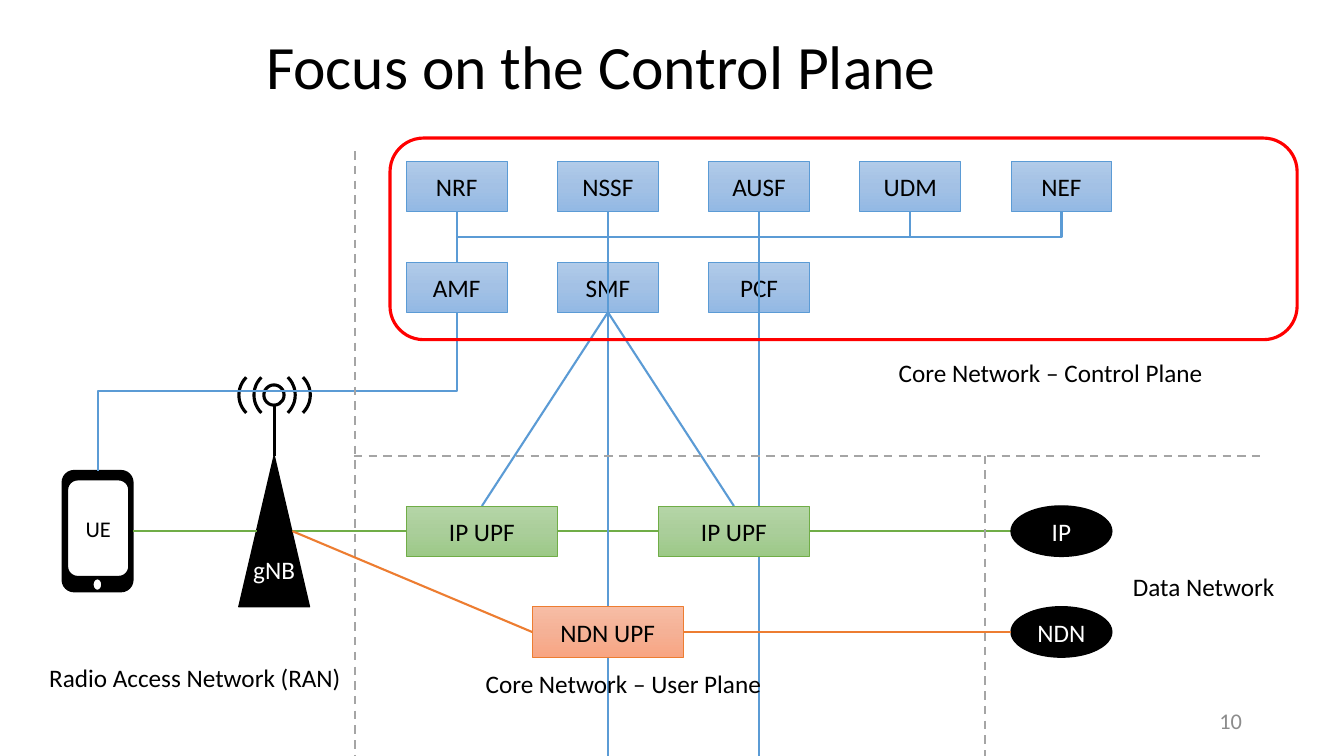
from copy import deepcopy
from dataclasses import dataclass

from pptx import Presentation
from pptx.dml.color import RGBColor
from pptx.enum.dml import MSO_LINE
from pptx.enum.shapes import MSO_CONNECTOR as CONN, MSO_SHAPE as SHAPE
from pptx.enum.text import MSO_ANCHOR as ANCHOR, MSO_AUTO_SIZE as AUTO, PP_ALIGN as ALIGN
from pptx.oxml.ns import qn
from pptx.oxml.xmlchemy import OxmlElement
from pptx.util import Cm, Pt


@dataclass(frozen=True)
class Theme:
    font: str = "Calibri"
    title: int = 44
    body: int = 18
    small: int = 16
    black: str = "000000"
    white: str = "FFFFFF"
    grey: str = "8C8C8C"
    dash: str = "A5A5A5"
    red: str = "FF0000"
    blue: str = "5B9BD5"
    green: str = "70AD47"
    orange: str = "ED7D31"
    blue_fill: tuple = ("B1CBE9", "A3C1E5", "93B9E4")
    green_fill: tuple = ("B5D5A7", "AACE9A", "9CC987")
    orange_fill: tuple = ("F7BDA5", "F5B196", "F8A582")


T = Theme()

# Content (lengths in centimetres)
TITLE = "Focus on the Control Plane"
FUNCTIONS = [["NRF", "NSSF", "AUSF", "UDM", "NEF"], ["AMF", "SMF", "PCF"]]
UPFS = [  # text, left, row, fill, outline
    ("IP UPF", 16.59, "IP", T.green_fill, T.green),
    ("IP UPF", 10.24, "IP", T.green_fill, T.green),
    ("NDN UPF", 13.41, "NDN", T.orange_fill, T.orange),
]
LABELS = [  # text, left, top, width
    ("Radio Access Network (RAN)", 0.99, 16.56, 7.92),
    ("Core Network – User Plane", 11.99, 16.71, 7.52),
    ("Core Network – Control Plane", 22.4, 8.89, 8.26),
    ("Data Network", 28.3, 14.27, 4.11),
]
BORDERS = [  # dashed lines between the network parts
    (8.94, 3.81, 8.94, 19.05),
    (8.92, 11.48, 31.78, 11.48),
    (24.82, 11.48, 24.82, 19.05),
]
PAGE = "10"

# Grid
SLIDE_W, SLIDE_H = 33.87, 19.05
LEFT, PITCH, BOX_W, BOX_H, UPF_W = 10.24, 3.81, 2.54, 1.27, 3.81
ROW_TOPS = [4.06, 6.6]
USER_TOPS = {"IP": 12.75, "NDN": 15.29}
DATA_X = LEFT + 4 * PITCH
COLS = [LEFT + i * PITCH + BOX_W / 2 for i in range(5)]
BOTTOMS = [top + BOX_H for top in ROW_TOPS]
IP_Y, NDN_Y = (top + BOX_H / 2 for top in USER_TOPS.values())

prs = Presentation()
prs.slide_width, prs.slide_height = Cm(SLIDE_W), Cm(SLIDE_H)
s = prs.slides.add_slide(prs.slide_layouts[5])


def apply(obj, **fmt):
    for name, value in fmt.items():
        setattr(obj, name, value)


def write(tf, text, size=T.body, color=T.black, align=ALIGN.CENTER, **frame):
    apply(tf, **{"vertical_anchor": ANCHOR.MIDDLE, "word_wrap": True, **frame})
    p = tf.paragraphs[0]
    p.alignment = align
    r = p.add_run()
    r.text = text
    apply(r.font, name=T.font, size=Pt(size))
    r.font.color.rgb = RGBColor.from_string(color)


def shape(kind, x, y, w, h, fill=None, line=T.black, width=1.0, rot=0):
    sp = s.shapes.add_shape(kind, Cm(x), Cm(y), Cm(w), Cm(h))
    sp.shadow.inherit = False
    sp.rotation = rot
    sp.line.color.rgb = RGBColor.from_string(line)
    sp.line.width = Pt(width)
    if fill is None:
        sp.fill.background()
    elif isinstance(fill, tuple):
        sp.fill.gradient()
        sp.fill.gradient_angle = 270
        stops = sp._element.spPr.find(".//" + qn("a:gsLst"))
        stops.insert(1, deepcopy(stops[0]))
        for stop, pos, color in zip(sp.fill.gradient_stops, (0, 0.5, 1), fill):
            stop.position = pos
            stop.color.rgb = RGBColor.from_string(color)
    else:
        sp.fill.solid()
        sp.fill.fore_color.rgb = RGBColor.from_string(fill)
    return sp


def line(x1, y1, x2, y2, color=T.blue, width=1.5, kind=CONN.STRAIGHT, dash=None):
    c = s.shapes.add_connector(kind, Cm(x1), Cm(y1), Cm(x2), Cm(y2))
    c.line.color.rgb = RGBColor.from_string(color)
    apply(c.line, width=Pt(width), dash_style=dash)
    c._element.spPr.append(OxmlElement("a:effectLst"))
    return c


def elbow(x1, y1, x2, y2):
    """Leave (x1, y1) downwards, cross halfway, arrive at (x2, y2)."""
    cx, cy = (x1 + x2) / 2, (y1 + y2) / 2
    dx, dy = (x2 - x1) / 2, (y2 - y1) / 2
    c = line(cx - dy, cy + dx, cx + dy, cy - dx, kind=CONN.ELBOW)
    c._element.spPr.find(qn("a:xfrm")).set("rot", "5400000")


def text_box(text, x, y, w, **fmt):
    sp = s.shapes.add_textbox(Cm(x), Cm(y), Cm(w), Cm(1.02))
    write(sp.text_frame, text, **fmt)


# Title
title = s.shapes.title
apply(title, left=Cm(6.45), top=Cm(0.38), width=Cm(25.1), height=Cm(2.72))
write(title.text_frame, TITLE, T.title, align=ALIGN.LEFT, auto_size=AUTO.NONE)
title.text_frame.paragraphs[0].line_spacing = 0.9

# IP path, behind the user plane boxes
line(7.37, IP_Y, DATA_X, IP_Y, T.green)

# Control plane functions and their links
for top, names in zip(ROW_TOPS, FUNCTIONS):
    for col, name in zip(COLS, names):
        sp = shape(SHAPE.RECTANGLE, col - BOX_W / 2, top, BOX_W, BOX_H, T.blue_fill, T.blue, 0.5)
        write(sp.text_frame, name)
for start, end in [(0, 1), (3, 0), (4, 2)]:
    elbow(COLS[start], BOTTOMS[0], COLS[end], ROW_TOPS[1])
for col in COLS[1:3]:
    line(col, BOTTOMS[0], col, SLIDE_H)
for _, x, row, _, _ in UPFS[:2]:
    line(COLS[1], BOTTOMS[1], x + UPF_W / 2, USER_TOPS[row])

# User plane functions
for name, x, row, fill, color in UPFS:
    sp = shape(SHAPE.RECTANGLE, x, USER_TOPS[row], UPF_W, BOX_H, fill, color, 0.5)
    write(sp.text_frame, name)

# gNB tower
sp = shape(SHAPE.ISOSCELES_TRIANGLE, 6.02, 11.48, 1.78, 3.81, T.black)
write(sp.text_frame, "gNB", color=T.white, word_wrap=False)
line(6.91, 10.21, 6.91, 11.48, T.black, 2.25)
shape(SHAPE.OVAL, 6.65, 9.7, 0.51, 0.51, T.white, width=2.25)
for x, rot in [(6.02, 225), (6.4, 225), (6.17, 45), (6.55, 45)]:
    shape(SHAPE.ARC, x, 9.32, 1.27, 1.27, width=2.25, rot=rot)

# UE phone
shape(SHAPE.ROUNDED_RECTANGLE, 1.57, 11.86, 1.78, 3.05, T.black)
sp = shape(SHAPE.ROUNDED_RECTANGLE, 1.7, 12.09, 1.55, 2.44, T.white)
write(sp.text_frame, "UE", T.small, word_wrap=False)
shape(SHAPE.OVAL, 2.34, 14.58, 0.23, 0.3, T.white)
elbow(COLS[0], BOTTOMS[1], 2.46, 11.86)
line(3.35, IP_Y, 6.48, IP_Y, T.green)

# Data networks
for name, top in USER_TOPS.items():
    sp = shape(SHAPE.OVAL, DATA_X, top, BOX_W, BOX_H, T.black)
    write(sp.text_frame, name, color=T.white)

# Borders, labels and page number
for ends in BORDERS:
    line(*ends, T.dash, dash=MSO_LINE.DASH)
for text, x, y, w in LABELS:
    text_box(text, x, y, w, align=ALIGN.LEFT, vertical_anchor=ANCHOR.TOP,
             word_wrap=False, auto_size=AUTO.SHAPE_TO_FIT_TEXT)
text_box(PAGE, 23.93, 17.65, 7.62, size=T.small, color=T.grey, align=ALIGN.RIGHT)

# Control plane highlight and NDN path
shape(SHAPE.ROUNDED_RECTANGLE, 9.83, 3.48, 22.86, 5.08, line=T.red, width=2.25)
ndn_x = UPFS[2][1]
line(7.37, IP_Y, ndn_x, NDN_Y, T.orange)
line(ndn_x + UPF_W, NDN_Y, DATA_X, NDN_Y, T.orange)

prs.save("out.pptx")
